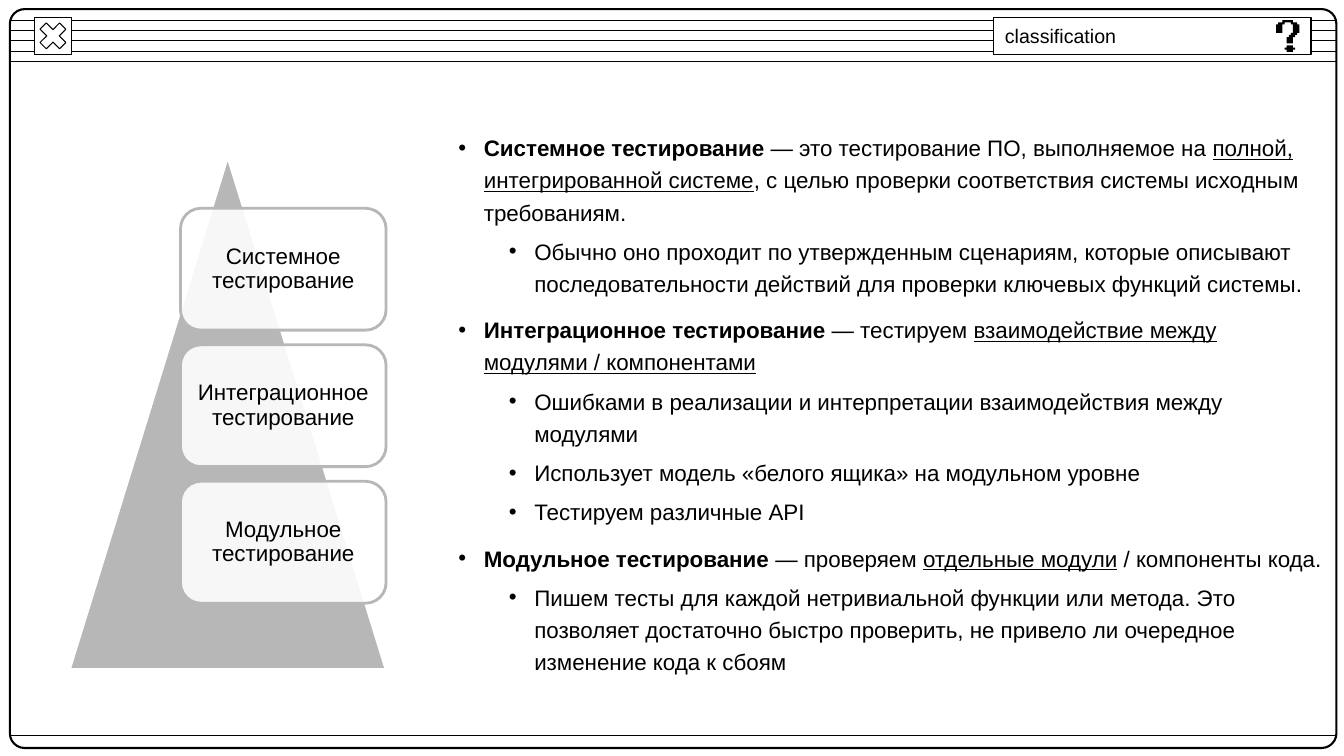
"""Build a slide that explains the three levels of software testing."""
from lxml.etree import SubElement
from pptx import Presentation
from pptx.dml.color import RGBColor
from pptx.enum.shapes import MSO_CONNECTOR as LINK, MSO_SHAPE as FORM
from pptx.enum.text import MSO_ANCHOR as ANCHOR, MSO_AUTO_SIZE as FIT, PP_ALIGN as ALIGN
from pptx.oxml.ns import qn
from pptx.util import Cm, Pt

BLACK, WHITE, GREY = "000000", "FFFFFF", "B7B7B7"


def paint(item, fill=None, line=None, width=0.75):
    """Set the fill and the outline of a shape from hex colours."""
    item.shadow.inherit = False
    if fill:
        item.fill.solid()
        item.fill.fore_color.rgb = RGBColor.from_string(fill)
    else:
        item.fill.background()
    if line:
        item.line.color.rgb = RGBColor.from_string(line)
        item.line.width = Pt(width)
    else:
        item.line.fill.background()


def write(para, words, size=16, **formats):
    """Add a black run with the given font values."""
    span = para.add_run()
    span.text = words
    span.font.color.rgb = RGBColor.from_string(BLACK)
    for name, value in {"name": "Arial", "size": Pt(size), **formats}.items():
        setattr(span.font, name, value)


deck = Presentation()
deck.slide_width, deck.slide_height = Cm(33.87), Cm(19.05)
page = deck.slides.add_slide(deck.slide_layouts[1])
shapes = page.shapes
title, body = page.placeholders

stripes = [0.51 + 0.26 * row for row in range(5)]
for top in stripes + [18.54]:
    stripe = shapes.add_connector(LINK.STRAIGHT, Cm(0.28), Cm(top), Cm(33.7), Cm(top))
    stripe.line.color.rgb = RGBColor.from_string(BLACK)
    stripe.line.width = Pt(0.75)
    SubElement(stripe._element.spPr, qn("a:effectLst"))

window = [
    (FORM.ROUNDED_RECTANGLE, (0.25, 0.23, 33.43, 18.62), 0.02, None, 1.5),
    (FORM.RECTANGLE, (0.86, 0.43, 0.95, 0.95), None, WHITE, 0.75),
    (FORM.MATH_MULTIPLY, (0.86, 0.43, 0.95, 0.95), 0.235, WHITE, 0.75),
    (FORM.RECTANGLE, (25.04, 0.43, 8, 0.95), None, WHITE, 0.75),
]
for form, place, bend, fill, width in window:
    part = shapes.add_shape(form, *map(Cm, place))
    if bend:
        part.adjustments[0] = bend
    paint(part, fill, BLACK, width)

hook = [
    (3, 0), (3, 1), (1, 1), (1, 2), (0, 2), (0, 6), (3, 6), (3, 2), (4, 2), (4, 1), (7, 1),
    (7, 2), (8, 2), (8, 6), (7, 6), (7, 7), (6, 7), (6, 8), (5, 8), (5, 11), (8, 11), (8, 8),
    (9, 8), (9, 7), (10, 7), (10, 6), (11, 6), (11, 2), (10, 2), (10, 1), (8, 1), (8, 0),
]
dot = [
    (5, 12), (5, 13), (4, 13), (4, 14), (5, 14), (5, 15),
    (8, 15), (8, 14), (9, 14), (9, 13), (8, 13), (8, 12),
]
for corners in (hook, dot):
    outline = shapes.build_freeform(*corners[0], scale=Cm(0.053))
    outline.add_line_segments(corners[1:], close=True)
    paint(outline.convert_to_shape(Cm(32.16), Cm(0.51)), BLACK)

pyramid = shapes.add_shape(FORM.ISOSCELES_TRIANGLE, Cm(1.75), Cm(3.94), Cm(7.98), Cm(12.93))
paint(pyramid, GREY, WHITE, 2)

levels = ["Системное тестирование", "Интеграционное тестирование", "Модульное тестирование"]
for row, level in enumerate(levels):
    card = shapes.add_shape(
        FORM.ROUNDED_RECTANGLE, Cm(4.55), Cm(5.25 + 3.44 * row), Cm(5.18), Cm(3.07)
    )
    paint(card, WHITE, GREY, 2)
    tint = card._element.spPr.find(qn("a:solidFill"))[0]
    SubElement(tint, qn("a:alpha"), val="90000")
    frame = card.text_frame
    frame.word_wrap, frame.vertical_anchor = True, ANCHOR.MIDDLE
    for side in ("left", "right", "top", "bottom"):
        setattr(frame, f"margin_{side}", Cm(0.18))
    para = frame.paragraphs[0]
    para.alignment, para.line_spacing = ALIGN.CENTER, 0.9
    write(para, level)

blocks = [
    (title, (25.07, 0.48, 3.33, 0.86), ANCHOR.MIDDLE, False),
    (body, (11.3, 3.12, 22.38, 15.42), ANCHOR.TOP, True),
]
for box, place, anchor, wrap in blocks:
    shapes._spTree.append(box._element)
    for name, value in zip(("left", "top", "width", "height"), place):
        setattr(box, name, Cm(value))
    frame = box.text_frame
    frame.auto_size, frame.word_wrap, frame.vertical_anchor = FIT.NONE, wrap, anchor

title_para = title.text_frame.paragraphs[0]
title_para.alignment = ALIGN.LEFT
write(title_para, "classification", 14)

PLAIN, BOLD, UNDER = {}, {"bold": True}, {"underline": True}
points = [
    (0, [
        ("Системное тестирование", BOLD),
        (" — это тестирование ПО, выполняемое на ", PLAIN),
        ("полной, интегрированной системе", UNDER),
        (", с целью проверки соответствия системы исходным требованиям.", PLAIN),
    ]),
    (1, [("Обычно оно проходит по утвержденным сценариям, которые описывают "
          "последовательности действий для проверки ключевых функций системы.", PLAIN)]),
    (0, [
        ("Интеграционное тестирование", BOLD),
        (" — тестируем ", PLAIN),
        ("взаимодействие между модулями / компонентами", UNDER),
    ]),
    (1, [("Ошибками в реализации и интерпретации взаимодействия между модулями", PLAIN)]),
    (1, [("Использует модель «белого ящика» на модульном уровне", PLAIN)]),
    (1, [("Тестируем различные API", PLAIN)]),
    (0, [
        ("Модульное тестирование", BOLD),
        (" — проверяем ", PLAIN),
        ("отдельные модули", UNDER),
        (" / компоненты кода.", PLAIN),
    ]),
    (1, [("Пишем тесты для каждой нетривиальной функции или метода. Это позволяет "
          "достаточно быстро проверить, не привело ли очередное изменение кода к сбоям", PLAIN)]),
]
for row, (depth, spans) in enumerate(points):
    para = body.text_frame.paragraphs[0] if row == 0 else body.text_frame.add_paragraph()
    para.level, para.line_spacing = depth, 1.2
    para.space_before = Pt((10, 5)[depth] if row else 0)
    settings = para._element.get_or_add_pPr()
    settings.set("marL", str(Cm((0.64, 1.91)[depth])))
    settings.set("indent", str(-Cm(0.64)))
    SubElement(SubElement(settings, qn("a:buClr")), qn("a:srgbClr"), val=BLACK)
    SubElement(settings, qn("a:buFont"), typeface="Arial")
    SubElement(settings, qn("a:buChar"), char="•")
    for words, formats in spans:
        write(para, words, **formats)

deck.save("out.pptx")
